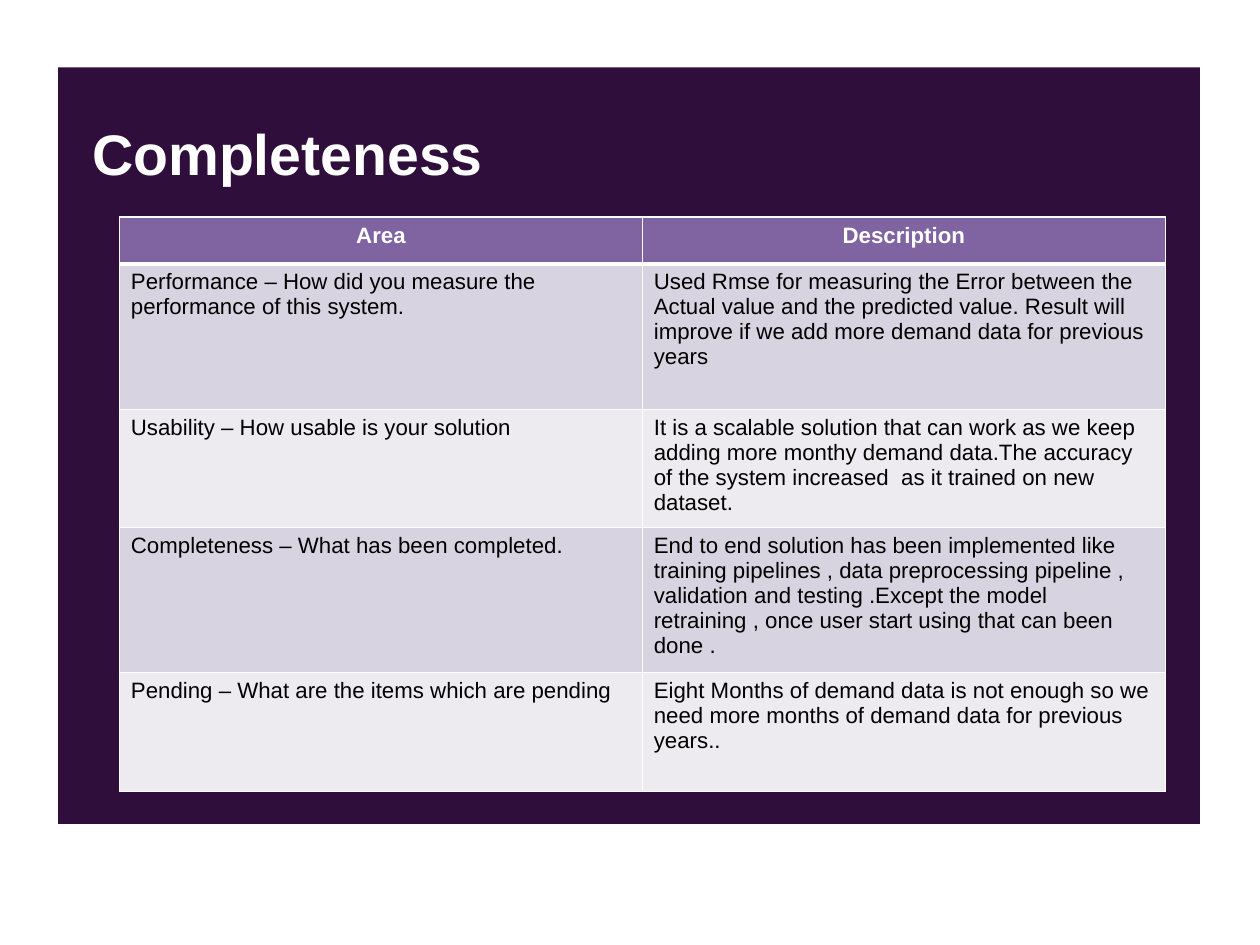
from lxml import etree
from pptx import Presentation
from pptx.dml.color import RGBColor
from pptx.enum import shapes, text
from pptx.oxml.ns import qn
from pptx.util import Pt

ROWS = [
    ("Area", "Description"),
    ("Performance – How did you measure the performance of this system.",
     "Used Rmse for measuring the Error between the Actual value and the predicted value. "
     "Result will improve if we add more demand data for previous years"),
    ("Usability – How usable is your solution",
     "It is a scalable solution that can work as we keep adding more monthy demand data."
     "The accuracy of the system increased  as it trained on new dataset."),
    ("Completeness – What has been completed.",
     "End to end solution has been implemented like training pipelines , data preprocessing "
     "pipeline , validation and testing .Except the model retraining , once user start using "
     "that can been done ."),
    ("Pending – What are the items which are pending",
     "Eight Months of demand data is not enough so we need more months of demand data "
     "for previous years.."),
]
HEIGHTS = [29.3, 91.9, 70.3, 86.1, 75]


def color(value):
    """Return the colour for a hex string."""
    return RGBColor.from_string(value)


def add_run(p, words, size, fill, bold=False):
    """Add one styled run to a paragraph."""
    r = p.add_run()
    r.text = words
    r.font.name = "Arial"
    r.font.size = Pt(size)
    r.font.bold = bold
    r.font.color.rgb = color(fill)


def add_panel(s, x, y, w, h):
    """Draw the dark panel behind the content."""
    sp = s.shapes.add_shape(shapes.MSO_SHAPE.RECTANGLE, Pt(x), Pt(y), Pt(w), Pt(h))
    sp.shadow.inherit = False
    sp.fill.solid()
    sp.fill.fore_color.rgb = color("2F0E3C")
    sp.line.fill.background()


def add_title(s, x, y, w, h):
    """Write the slide title."""
    tf = s.shapes.add_textbox(Pt(x), Pt(y), Pt(w), Pt(h)).text_frame
    tf.word_wrap = True
    tf.vertical_anchor = text.MSO_ANCHOR.TOP
    add_run(tf.paragraphs[0], "Completeness", 36, "FFFFFF", True)


def set_borders(cell, top, bottom):
    """Give a cell white borders, with its own top and bottom widths."""
    tcPr = cell._tc.get_or_add_tcPr()
    for i, (side, width) in enumerate([("L", 1), ("R", 1), ("T", top), ("B", bottom)]):
        ln = etree.Element(qn("a:ln" + side), w=str(Pt(width)))
        fill = etree.SubElement(ln, qn("a:solidFill"))
        etree.SubElement(fill, qn("a:srgbClr"), val="FFFFFF")
        tcPr.insert(i, ln)


def add_review_table(s, x, y, w):
    """Build the table of areas and descriptions."""
    table = s.shapes.add_table(len(ROWS), 2, Pt(x), Pt(y), Pt(w), Pt(sum(HEIGHTS))).table
    for col in table.columns:
        col.width = Pt(w / 2)
    for i, (row, height) in enumerate(zip(ROWS, HEIGHTS)):
        table.rows[i].height = Pt(height)
        header = i == 0
        for j, words in enumerate(row):
            cell = table.cell(i, j)
            cell.fill.solid()
            cell.fill.fore_color.rgb = color("8064A2" if header else ("EDEAF0", "D8D3E0")[i % 2])
            p = cell.text_frame.paragraphs[0]
            p.alignment = text.PP_ALIGN.CENTER if header else text.PP_ALIGN.LEFT
            add_run(p, words, 14, "FFFFFF" if header else "000000", header)
            set_borders(cell, 3 if i == 1 else 1, 3 if header else 1)


def main():
    """Build and save the slide."""
    prs = Presentation()
    prs.slide_width, prs.slide_height = Pt(793.7), Pt(595.28)
    s = prs.slides.add_slide(prs.slide_layouts[6])
    add_panel(s, 36.6, 42.5, 719.3, 476.6)
    add_title(s, 51, 70.8, 697.7, 66.2)
    add_review_table(s, 75.3, 136.8, 658.8)
    prs.save("out.pptx")


if __name__ == "__main__":
    main()
